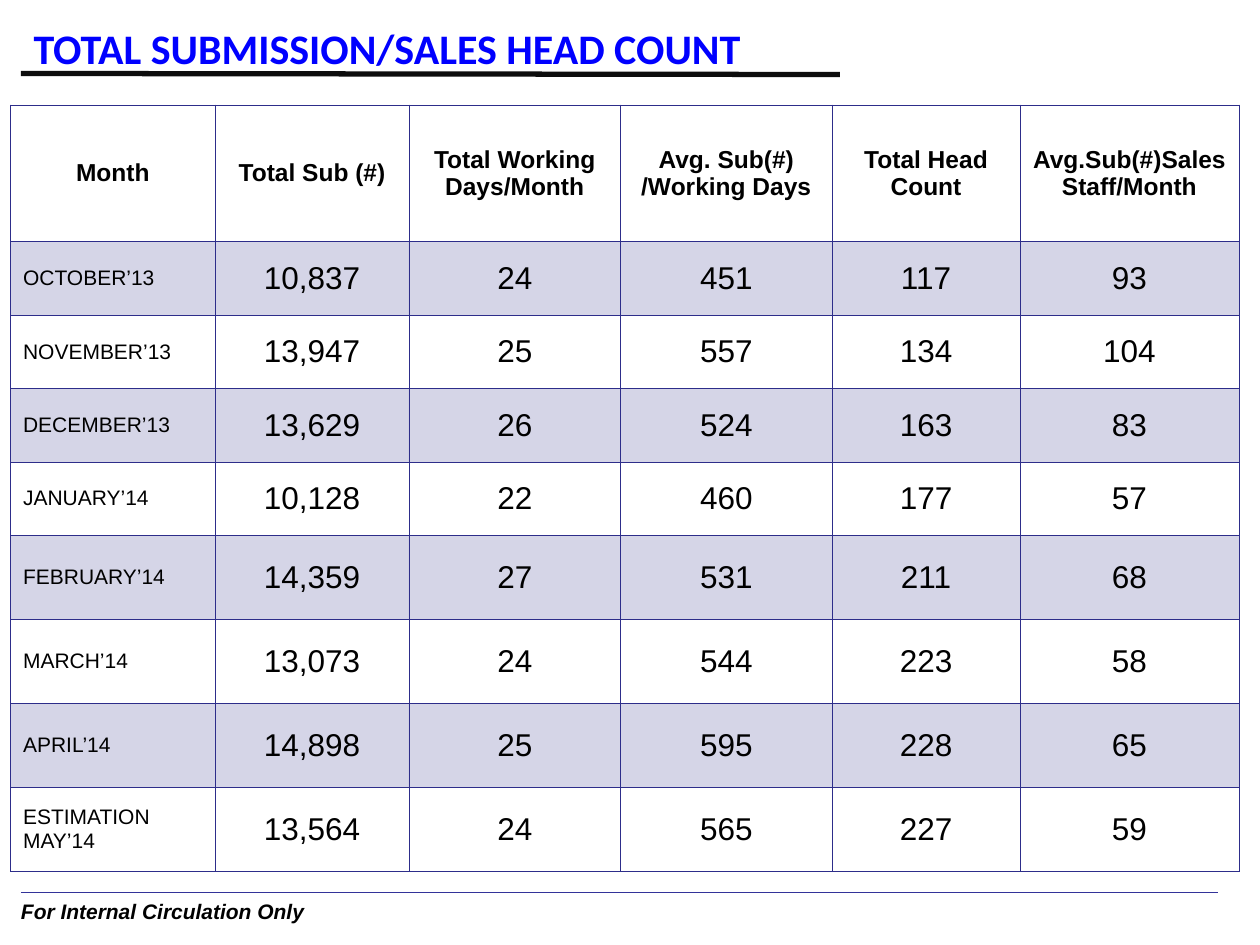
import pptx
import pptx.dml.color
import pptx.enum.shapes
import pptx.enum.text
import pptx.oxml.ns
import pptx.util
from lxml import etree

COLUMNS, ROWS = 120, 90  # grid over the whole slide
BORDER = "2D2D8A"
Align = pptx.enum.text.PP_ALIGN
Anchor = pptx.enum.text.MSO_ANCHOR

deck = pptx.Presentation()
deck.slide_width = pptx.util.Inches(10)
deck.slide_height = pptx.util.Inches(7.5)
unit_x = deck.slide_width / COLUMNS
unit_y = deck.slide_height / ROWS
slide = deck.slides.add_slide(deck.slide_layouts[5])


def place(left, top, width, height):
    return (round(left * unit_x), round(top * unit_y),
            round(width * unit_x), round(height * unit_y))


def color(hex_text):
    return pptx.dml.color.RGBColor.from_string(hex_text)


# Title
title = slide.shapes.title
title.left, title.top, title.width, title.height = place(2, 1.5, 117, 6)
title.text_frame.text = "TOTAL SUBMISSION/SALES HEAD COUNT"
title.text_frame.vertical_anchor = Anchor.TOP
title.text_frame.auto_size = pptx.enum.text.MSO_AUTO_SIZE.NONE
heading = title.text_frame.paragraphs[0]
heading.alignment = Align.LEFT
heading.font.name, heading.font.size = "Calibri", pptx.util.Pt(24)
heading.font.bold = True
heading.font.color.rgb = color("0000FF")

# Rules under the title and above the footer
for start_x, start_y, end_x, end_y, rule_color, weight in [
    (2, 7, 80, 7.1, "0D0D0D", 3),
    (2, 85, 116, 85, "333399", 0.75),
]:
    start, end = place(start_x, start_y, 0, 0), place(end_x, end_y, 0, 0)
    rule = slide.shapes.add_connector(
        pptx.enum.shapes.MSO_CONNECTOR.STRAIGHT, *start[:2], *end[:2])
    rule.line.color.rgb = color(rule_color)
    rule.line.width = pptx.util.Pt(weight)
    etree.SubElement(rule._element.spPr, pptx.oxml.ns.qn("a:effectLst"))

# Monthly figures
headers = ["Month", "Total Sub (#)", "Total Working\nDays/Month",
           "Avg. Sub(#)\n/Working Days", "Total Head Count",
           "Avg.Sub(#)Sales Staff/Month"]
months = [
    ("OCTOBER’13", "10,837", "24", "451", "117", "93"),
    ("NOVEMBER’13", "13,947", "25", "557", "134", "104"),
    ("DECEMBER’13", "13,629", "26", "524", "163", "83"),
    ("JANUARY’14", "10,128", "22", "460", "177", "57"),
    ("FEBRUARY’14", "14,359", "27", "531", "211", "68"),
    ("MARCH’14", "13,073", "24", "544", "223", "58"),
    ("APRIL’14", "14,898", "25", "595", "228", "65"),
    ("ESTIMATION MAY’14", "13,564", "24", "565", "227", "59"),
]
column_widths = [19.5, 18.45, 20.15, 20.15, 17.9, 20.85]
row_heights = [13] + [7] * 4 + [8] * 4

figures = slide.shapes.add_table(
    len(row_heights), len(column_widths),
    *place(1, 10, sum(column_widths), sum(row_heights))).table
figures.first_row = figures.horz_banding = False
for column, width in zip(figures.columns, column_widths):
    column.width = round(width * unit_x)
for row, height in zip(figures.rows, row_heights):
    row.height = round(height * unit_y)

for r, entries in enumerate([headers] + months):
    for c, entry in enumerate(entries):
        cell = figures.cell(r, c)
        cell.text = entry
        cell.vertical_anchor = Anchor.MIDDLE
        for paragraph in cell.text_frame.paragraphs:
            paragraph.alignment = Align.LEFT if r and c == 0 else Align.CENTER
            paragraph.font.name = "Arial"
            paragraph.font.size = pptx.util.Pt(14 if r == 0 else 12 if c == 0 else 18)
            paragraph.font.bold = r == 0
            paragraph.font.color.rgb = color("000000")

        # Borders, heavier between header and body
        for side in "LRTB":
            heavy = (r, side) in [(0, "B"), (1, "T")]
            weight = pptx.util.Pt(0.96 if heavy else 0.45)
            cell._tc.tcPr.append(pptx.oxml.parse_xml(
                f'<a:ln{side} {pptx.oxml.ns.nsdecls("a")} w="{weight}"><a:solidFill>'
                f'<a:srgbClr val="{BORDER}"/></a:solidFill></a:ln{side}>'))

        # Tint on every other month
        if r % 2:
            cell.fill.solid()
            cell.fill.fore_color.rgb = color(BORDER)
            tint = cell._tc.tcPr.find("a:solidFill/a:srgbClr", pptx.oxml.ns._nsmap)
            etree.SubElement(tint, pptx.oxml.ns.qn("a:alpha"), val="20000")
        else:
            cell.fill.background()

# Footer
footer = slide.shapes.add_textbox(*place(-1, 85, 33, 3.6)).text_frame
footer.word_wrap = True
footer.text = "For Internal Circulation Only"
notice = footer.paragraphs[0]
notice.alignment = Align.CENTER
notice.font.name, notice.font.size = "Arial", pptx.util.Pt(12)
notice.font.bold = notice.font.italic = True
notice.font.color.rgb = color("000000")

deck.save("out.pptx")
